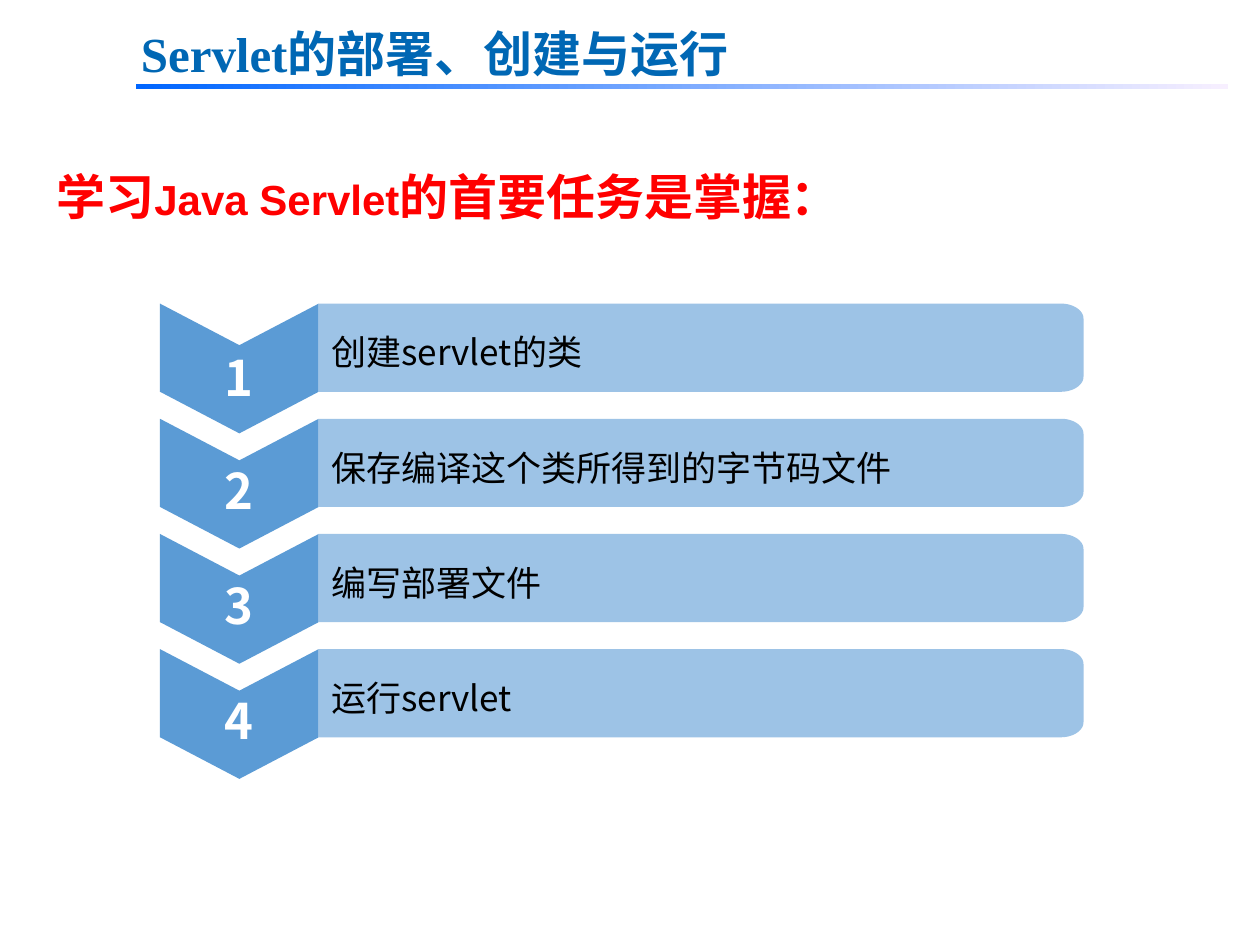
import math
from dataclasses import dataclass

from lxml import etree
from pptx import Presentation
from pptx import util as u
from pptx.dml.color import RGBColor
from pptx.enum import shapes, text
from pptx.oxml.ns import qn

TITLE_BLUE = RGBColor(0x00, 0x67, 0xB4)
HEADING_RED = RGBColor(0xFF, 0x00, 0x00)
RULE_START = RGBColor(0x00, 0x66, 0xFF)
RULE_END = RGBColor(0xF7, 0xEF, 0xFF)
CHEVRON_BLUE = RGBColor(0x5B, 0x9B, 0xD5)
BAR_BLUE = RGBColor(0x9D, 0xC3, 0xE6)
WHITE = RGBColor(0xFF, 0xFF, 0xFF)
BLACK = RGBColor(0x00, 0x00, 0x00)
CJK_FONT = "Noto Sans CJK SC"

CHEVRON_LEFT, CHEVRON_RIGHT, BAR_RIGHT = 1.27, 2.53, 8.6
FIRST_TOP, STEP_PITCH = 2.41, 0.914
BAR_HEIGHT, CHEVRON_DEPTH = 0.7, 0.33
CORNER_WIDTH, CORNER_HEIGHT = 0.18, 0.12

Point = tuple[float, float]


@dataclass(frozen=True)
class TextStyle:
    size: float
    color: RGBColor
    font: str = CJK_FONT
    bold: bool = False


@dataclass(frozen=True)
class Step:
    number: int
    label: str
    number_spacing: float = 1.2

    @property
    def top(self) -> float:
        return FIRST_TOP + (self.number - 1) * STEP_PITCH


STEPS = [
    Step(1, "创建servlet的类", 1.3),
    Step(2, "保存编译这个类所得到的字节码文件"),
    Step(3, "编写部署文件"),
    Step(4, "运行servlet"),
]
NUMBER_STYLE = TextStyle(28, WHITE, bold=True)
LABEL_STYLE = TextStyle(20, BLACK)
TITLE_STYLE = TextStyle(28, TITLE_BLUE, "Times New Roman", True)
HEADING_STYLE = TextStyle(28, HEADING_RED, "Arial", True)
HEADING_LATIN_STYLE = TextStyle(24, HEADING_RED, "Arial", True)


def format_run(run, style: TextStyle) -> None:
    run.font.size = u.Pt(style.size)
    run.font.bold = style.bold
    run.font.color.rgb = style.color
    run.font.name = style.font
    east_asian = etree.SubElement(run.font._element, qn("a:ea"))
    east_asian.set("typeface", CJK_FONT)


def add_text_line(slide, box: tuple, parts: list[tuple[str, TextStyle]], spacing: float) -> None:
    shape = slide.shapes.add_textbox(*map(u.Inches, box))
    shape.text_frame.word_wrap = True
    paragraph = shape.text_frame.paragraphs[0]
    paragraph.alignment = text.PP_ALIGN.JUSTIFY
    paragraph.line_spacing = spacing
    for words, style in parts:
        run = paragraph.add_run()
        run.text = words
        format_run(run, style)


def add_rule(slide) -> None:
    shape = slide.shapes.add_shape(
        shapes.MSO_SHAPE.RECTANGLE, u.Inches(1.08), u.Inches(0.67), u.Inches(8.67), u.Inches(0.04)
    )
    shape.shadow.inherit = False
    shape.line.fill.background()
    shape.fill.gradient()
    shape.fill.gradient_angle = 0
    for stop, position, color in zip(shape.fill.gradient_stops, (0, 1), (RULE_START, RULE_END)):
        stop.position = position
        stop.color.rgb = color


def add_outline(slide, points: list[Point], color: RGBColor):
    corners = [(u.Inches(x), u.Inches(y)) for x, y in points]
    builder = slide.shapes.build_freeform(*corners[0])
    builder.add_line_segments(corners[1:], close=True)
    shape = builder.convert_to_shape()
    shape.shadow.inherit = False
    shape.fill.solid()
    shape.fill.fore_color.rgb = color
    shape.line.fill.background()
    return shape


def set_label(shape, words: str, style: TextStyle, alignment, spacing: float, left: float) -> None:
    frame = shape.text_frame
    frame.text = words
    frame.word_wrap = True
    frame.vertical_anchor = text.MSO_ANCHOR.MIDDLE
    frame.margin_left = u.Inches(left)
    frame.margin_top = frame.margin_right = frame.margin_bottom = 0
    paragraph = frame.paragraphs[0]
    paragraph.alignment = alignment
    paragraph.line_spacing = spacing
    format_run(paragraph.runs[0], style)


def chevron_points(top: float) -> list[Point]:
    middle = (CHEVRON_LEFT + CHEVRON_RIGHT) / 2
    columns = [(CHEVRON_LEFT, 0), (middle, CHEVRON_DEPTH), (CHEVRON_RIGHT, 0)]
    upper = [(x, top + drop) for x, drop in columns]
    return upper + [(x, y + BAR_HEIGHT) for x, y in reversed(upper)]


def bar_points(top: float) -> list[Point]:
    angles = [math.radians(degrees) for degrees in range(90, -1, -6)]
    bottom = top + BAR_HEIGHT
    arc = [
        (CORNER_WIDTH * (1 - math.cos(angle)), CORNER_HEIGHT * (1 - math.sin(angle)))
        for angle in angles
    ]
    upper = [(BAR_RIGHT - dx, top + dy) for dx, dy in arc]
    lower = [(BAR_RIGHT - dx, bottom - dy) for dx, dy in reversed(arc)]
    return [(CHEVRON_RIGHT, top), *upper, *lower, (CHEVRON_RIGHT, bottom)]


def add_step(slide, step: Step) -> None:
    chevron = add_outline(slide, chevron_points(step.top), CHEVRON_BLUE)
    set_label(
        chevron, str(step.number), NUMBER_STYLE, text.PP_ALIGN.CENTER, step.number_spacing, 0
    )
    bar = add_outline(slide, bar_points(step.top), BAR_BLUE)
    set_label(bar, step.label, LABEL_STYLE, text.PP_ALIGN.LEFT, 1.2, 0.1)


def main() -> None:
    """Build the servlet slide with its heading and four numbered steps."""
    presentation = Presentation()
    presentation.slide_width = u.Inches(10)
    presentation.slide_height = u.Inches(7.5)
    slide = presentation.slides.add_slide(presentation.slide_layouts[6])
    heading = [
        ("学习", HEADING_STYLE),
        ("Java Servlet", HEADING_LATIN_STYLE),
        ("的首要任务是掌握：", HEADING_STYLE),
    ]
    add_text_line(slide, (0.35, 1.04, 9.29, 0.74), heading, 1.5)
    add_rule(slide)
    title = [("Servlet的部署、创建与运行", TITLE_STYLE)]
    add_text_line(slide, (1.02, 0.14, 6.54, 0.57), title, 1.0)
    for step in STEPS:
        add_step(slide, step)
    presentation.save("out.pptx")


if __name__ == "__main__":
    main()
